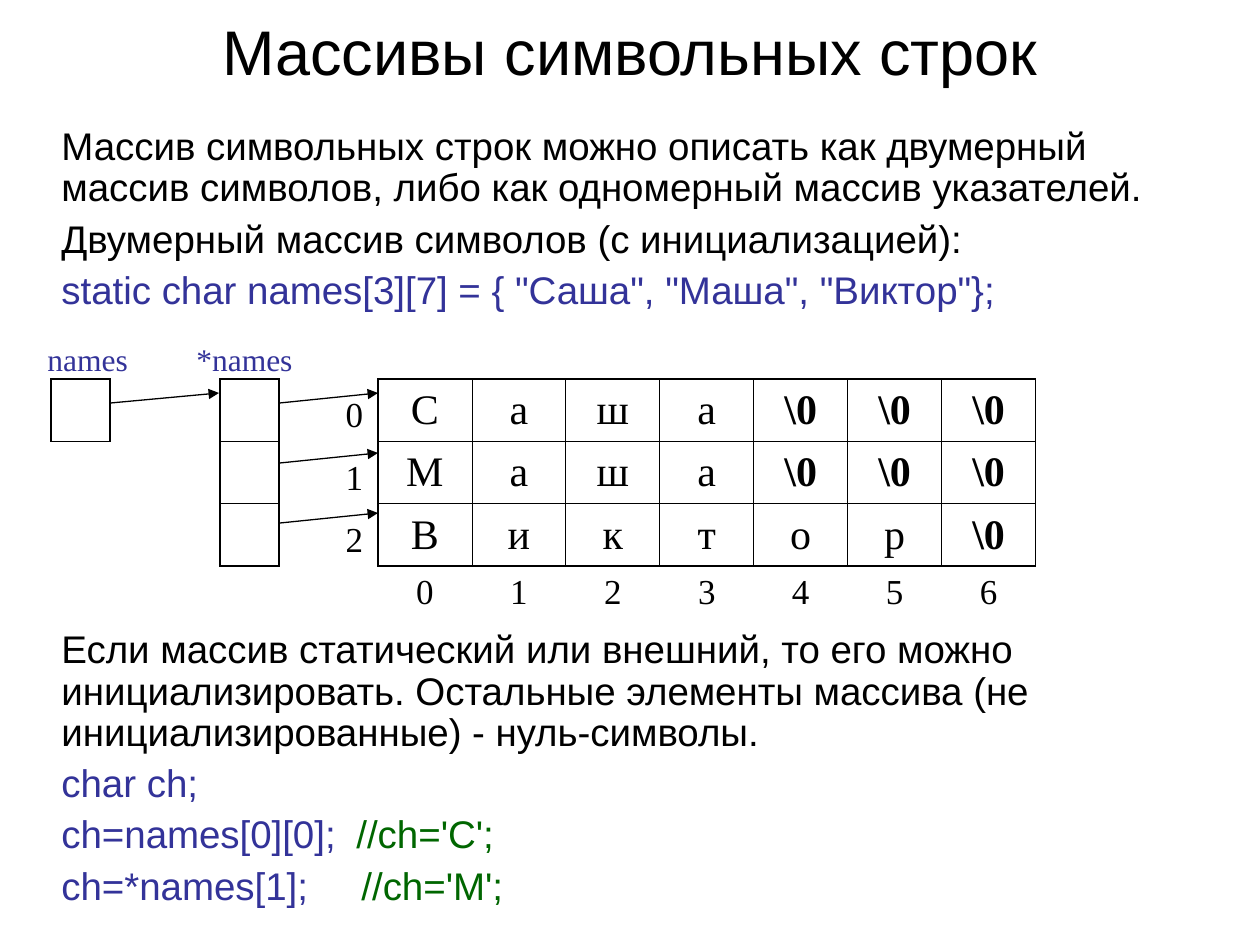
from lxml import etree
from pptx import Presentation
from pptx import util as u
from pptx.dml.color import RGBColor
from pptx.enum import shapes, text
from pptx.oxml.ns import qn

PX = u.Inches(1) / 126
COLORS = {"black": "000000", "code": "333399", "comment": "006600"}
SANS, SERIF = "Arial", "Times New Roman"


def px(*values):
    return [u.Emu(round(v * PX)) for v in values]


def style(r, size, face, color="black", bold=False):
    r.font.size = u.Pt(size)
    r.font.name = face
    r.font.bold = bold
    r.font.color.rgb = RGBColor.from_string(COLORS[color])


prs = Presentation()
prs.slide_width, prs.slide_height = px(1260, 945)
s = prs.slides.add_slide(prs.slide_layouts[6])

title = s.shapes.add_textbox(*px(63, 16, 1134, 69))
tf = title.text_frame
tf.word_wrap = True
tf.vertical_anchor = text.MSO_ANCHOR.MIDDLE
tf.text = "Массивы символьных строк"
tf.paragraphs[0].alignment = text.PP_ALIGN.CENTER
style(tf.paragraphs[0].runs[0], 36, SANS)

intro = [
    ([("Массив символьных строк можно описать как двумерный массив символов, "
       "либо как одномерный массив указателей.", "black")], None),
    ([("Двумерный массив символов (с инициализацией):", "black")], None),
    ([('static char names[3][7] = { "Саша", "Маша", "Виктор"};', "code")], None),
]
usage = [
    ([("Если массив статический или внешний, то его можно инициализировать. "
       "Остальные элементы массива (не инициализированные) - нуль-символы.", "black")], None),
    ([("char ch;", "code")], None),
    ([("ch=names[0][0];\t", "code"), ("//ch='С';", "comment")], 295),
    ([("ch=*names[1];\t", "code"), ("//ch='М';", "comment")], 300),
]
for top, height, paragraphs in [(121, 202, intro), (624, 295, usage)]:
    tf = s.shapes.add_textbox(*px(49, top, 1163, height)).text_frame
    tf.word_wrap = True
    for i, (runs, tab) in enumerate(paragraphs):
        p = tf.add_paragraph() if i else tf.paragraphs[0]
        p.line_spacing = 0.9
        p.space_before = u.Pt(5.5 if i else 0)
        if tab:
            tabs = etree.SubElement(p._p.get_or_add_pPr(), qn("a:tabLst"))
            etree.SubElement(tabs, qn("a:tab"), pos=str(px(tab)[0]), algn="l")
        for words, color in runs:
            r = p.add_run()
            r.text = words
            style(r, 22, SANS, color)

widths = [59, 110, 59, 52, 47] + [94] * 7
heights = [60, 60, 60, 52]
names = ["Саша", "Маша", "Виктор"]
frame = s.shapes.add_table(4, 12, *px(51, 379, sum(widths), sum(heights)))
table = frame.table
table.first_row = table.horz_banding = False
table._tbl.tblPr.find(qn("a:tableStyleId")).text = "{2D5ABB26-0587-4C30-8999-92F81FD0307C}"
for column, width in zip(table.columns, px(*widths)):
    column.width = width
for row, height in zip(table.rows, px(*heights)):
    row.height = height

entries = {}
for i, name in enumerate(names):
    entries[i, 4] = (str(i), 20, False)
    for j in range(7):
        letter = name[j] if j < len(name) else "\\0"
        entries[i, 5 + j] = (letter, 24, j >= len(name))
for j in range(7):
    entries[3, 5 + j] = (str(j), 20, False)

for (i, j), (words, size, bold) in entries.items():
    cell = table.cell(i, j)
    cell.margin_left, cell.margin_right, cell.margin_top, cell.margin_bottom = px(5, 5, 6, 6)
    cell.vertical_anchor = text.MSO_ANCHOR.BOTTOM if j == 4 else text.MSO_ANCHOR.MIDDLE
    cell.text = words
    p = cell.text_frame.paragraphs[0]
    p.alignment = text.PP_ALIGN.CENTER
    style(p.runs[0], size, SERIF, bold=bold)

for last_row, first_col, last_col in [(0, 0, 0), (2, 2, 2), (2, 5, 11)]:
    for i in range(last_row + 1):
        for j in range(first_col, last_col + 1):
            outer = {"L": j == first_col, "R": j == last_col, "T": i == 0, "B": i == last_row}
            tcPr = table.cell(i, j)._tc.get_or_add_tcPr()
            for side, edge in outer.items():
                ln = etree.SubElement(tcPr, qn("a:ln" + side), w=str(u.Pt(1.08 if edge else 0.45)))
                fill = etree.SubElement(ln, qn("a:solidFill"))
                etree.SubElement(fill, qn("a:srgbClr"), val=COLORS["black"])
for cell in table.iter_cells():
    cell.fill.background()

arrows = [(280, 378, 60 * i) for i in range(3)] + [(111, 219, 0)]
for x1, x2, dy in arrows:
    sp = s.shapes.add_connector(shapes.MSO_CONNECTOR.STRAIGHT, *px(x1, 403 + dy, x2, 393 + dy))
    sp.line.width = u.Pt(0.75)
    sp.line.color.rgb = RGBColor.from_string(COLORS["black"])
    etree.SubElement(sp.line._get_or_add_ln(), qn("a:tailEnd"), type="triangle")
    etree.SubElement(sp._element.spPr, qn("a:effectLst"))

for left, width, label in [(35, 106, "names"), (184, 121, "*names")]:
    tf = s.shapes.add_textbox(*px(left, 334, width, 50)).text_frame
    tf.word_wrap = False
    tf.auto_size = text.MSO_AUTO_SIZE.SHAPE_TO_FIT_TEXT
    tf.text = label
    style(tf.paragraphs[0].runs[0], 18, SERIF, "code")

prs.save("out.pptx")
